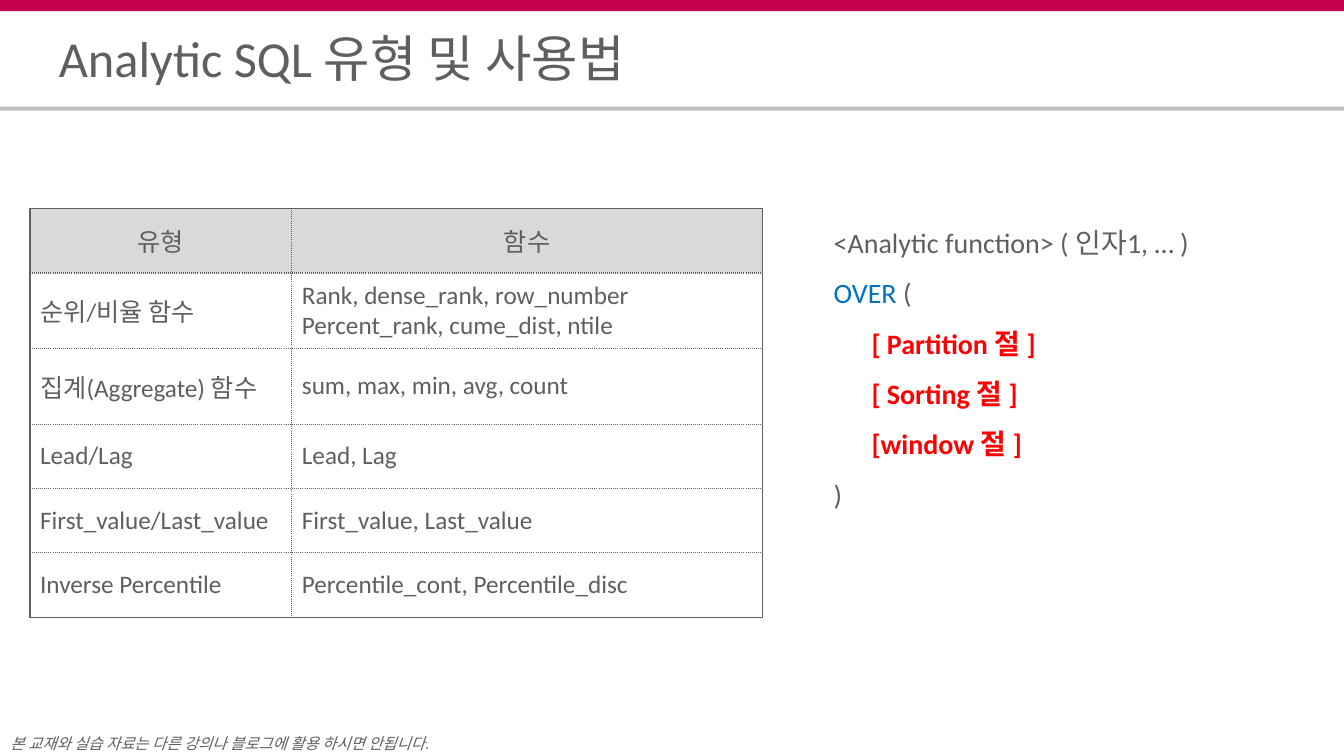
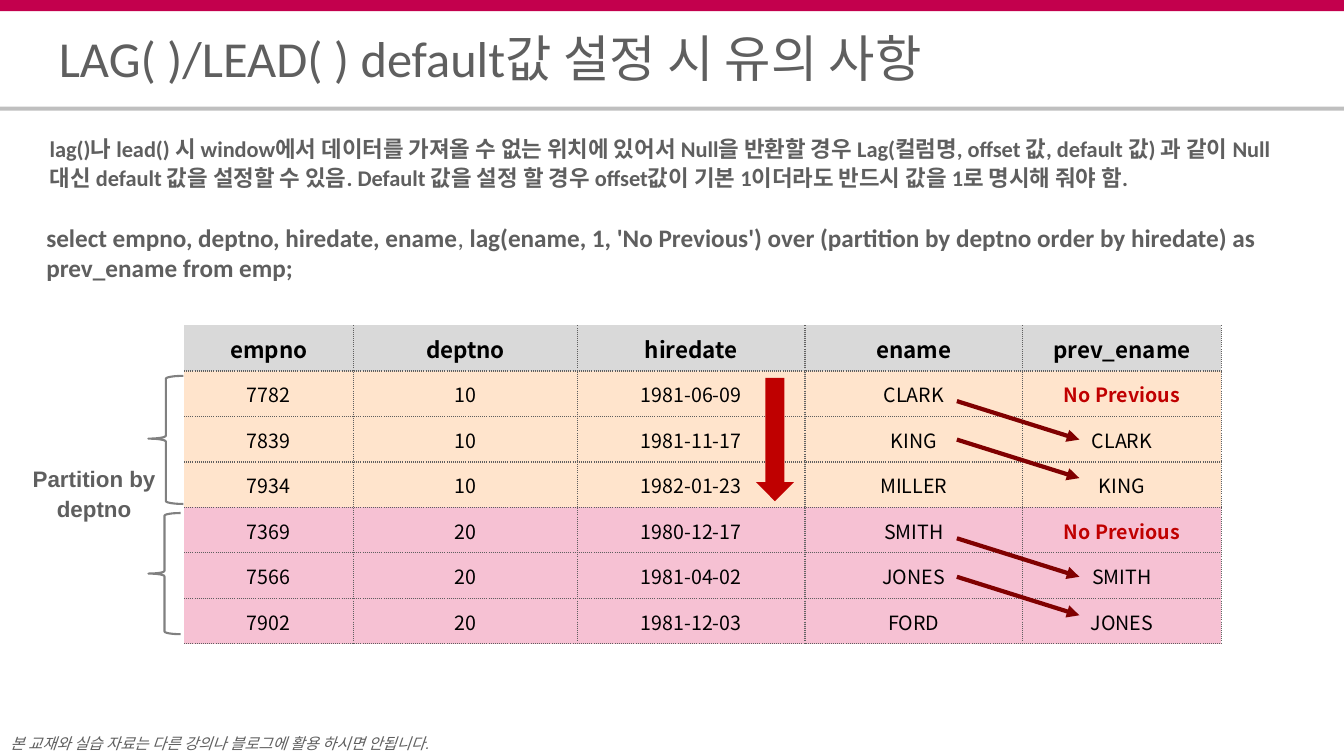
from dataclasses import dataclass, replace
from itertools import accumulate
from typing import NamedTuple

from lxml.etree import SubElement
from pptx import Presentation
from pptx.dml.color import RGBColor
from pptx.enum.shapes import MSO_CONNECTOR, MSO_SHAPE
from pptx.enum.text import MSO_ANCHOR, MSO_AUTO_SIZE, PP_ALIGN
from pptx.oxml.ns import qn
from pptx.shapes.autoshape import Shape
from pptx.slide import Slide
from pptx.table import Table, _Cell
from pptx.text.text import TextFrame
from pptx.util import Pt

CRIMSON = RGBColor(0xC3, 0x00, 0x4D)
RULE_GRAY = RGBColor(0xBF, 0xBF, 0xBF)
TEXT_GRAY = RGBColor(0x5F, 0x5F, 0x5F)
HEADER_GRAY = RGBColor(0xD9, 0xD9, 0xD9)
BRACE_GRAY = RGBColor(0x80, 0x80, 0x80)
PEACH = RGBColor(0xFF, 0xE4, 0xCC)
PINK = RGBColor(0xF6, 0xC1, 0xD3)
BLACK = RGBColor(0x00, 0x00, 0x00)
BLUE = RGBColor(0x00, 0x70, 0xC0)
RED = RGBColor(0xFF, 0x00, 0x00)
DARK_RED = RGBColor(0xC0, 0x00, 0x00)
ARROW_RED = RGBColor(0xBF, 0x00, 0x00)
MAROON = RGBColor(0x80, 0x00, 0x00)

KOREAN_FONT = "Noto Sans CJK KR"
SOLID, DOTTED = "solid", "sysDot"
FOOTER = "본 교재와 실습 자료는 다른 강의나 블로그에 활용 하시면 안됩니다."


@dataclass(frozen=True)
class Style:
    size: float
    font: str = "Calibri"
    color: RGBColor = TEXT_GRAY
    bold: bool = False
    italic: bool = False


class Run(NamedTuple):
    text: str
    style: Style


@dataclass(frozen=True)
class Paragraph:
    runs: tuple[Run, ...]
    align: PP_ALIGN = PP_ALIGN.LEFT
    spacing: float = 1.0
    indent: float = 0


class Box(NamedTuple):
    left: float
    top: float
    width: float
    height: float

    def lengths(self) -> tuple[Pt, ...]:
        return tuple(Pt(value) for value in self)


class Insets(NamedTuple):
    left: float = 0
    top: float = 0
    right: float = 0
    bottom: float = 0


class Borders(NamedTuple):
    """Dash of each side, in the order the cell properties need; None draws no line."""
    left: str | None
    right: str | None
    top: str | None
    bottom: str | None


class Employee(NamedTuple):
    empno: str
    deptno: str
    hiredate: str
    ename: str
    prev_ename: str


TITLE = Style(36)
NOTICE = Style(11, "Arial", italic=True)
CODE = Style(20)
CLAUSE = replace(CODE, color=RED, bold=True)
FUNCTION = Style(18)
QUERY = Style(18, bold=True)
EXPLANATION = Style(16, bold=True)
PARTITION = Style(16, "Arial", bold=True)
COLUMN_NAME = Style(16, KOREAN_FONT, BLACK, bold=True)
VALUE = Style(14, KOREAN_FONT, BLACK)
DEFAULT_VALUE = replace(VALUE, color=DARK_RED, bold=True)

FUNCTION_ROWS = [
    ("유형", "함수"),
    ("순위/비율 함수", "Rank, dense_rank, row_number\nPercent_rank, cume_dist, ntile"),
    ("집계(Aggregate) 함수", "sum, max, min, avg, count"),
    ("Lead/Lag", "Lead, Lag"),
    ("First_value/Last_value", "First_value, Last_value"),
    ("Inverse Percentile", "Percentile_cont, Percentile_disc"),
]
NO_PREVIOUS = "No Previous"
EMPLOYEES = [
    Employee("7782", "10", "1981-06-09", "CLARK", NO_PREVIOUS),
    Employee("7839", "10", "1981-11-17", "KING", "CLARK"),
    Employee("7934", "10", "1982-01-23", "MILLER", "KING"),
    Employee("7369", "20", "1980-12-17", "SMITH", NO_PREVIOUS),
    Employee("7566", "20", "1981-04-02", "JONES", "SMITH"),
    Employee("7902", "20", "1981-12-03", "FORD", "JONES"),
]
DEPT_COLORS = {"10": PEACH, "20": PINK}


def line_of(text: str, style: Style, **layout) -> Paragraph:
    return Paragraph((Run(text, style),), **layout)


def write(frame: TextFrame, paragraphs: list[Paragraph]) -> None:
    for index, content in enumerate(paragraphs):
        paragraph = frame.add_paragraph() if index else frame.paragraphs[0]
        paragraph.alignment = content.align
        paragraph.line_spacing = content.spacing
        if content.indent:
            paragraph._p.get_or_add_pPr().set("marL", str(Pt(content.indent)))
        for text, style in content.runs:
            run = paragraph.add_run()
            run.text = text
            font = run.font
            font.size, font.name = Pt(style.size), style.font
            font.bold, font.italic = style.bold, style.italic
            font.color.rgb = style.color
            SubElement(run._r.get_or_add_rPr(), qn("a:ea"), typeface=KOREAN_FONT)


def set_insets(target: TextFrame | _Cell, insets: Insets) -> None:
    target.margin_left, target.margin_top, target.margin_right, target.margin_bottom = (
        Pt(inset) for inset in insets
    )


def add_text(slide: Slide, box: Box, paragraphs: list[Paragraph],
             insets: Insets = Insets(), wrap: bool = True) -> None:
    frame = slide.shapes.add_textbox(*box.lengths()).text_frame
    frame.word_wrap = wrap
    set_insets(frame, insets)
    write(frame, paragraphs)


def add_filled(slide: Slide, kind: MSO_SHAPE, box: Box, color: RGBColor) -> None:
    shape = slide.shapes.add_shape(kind, *box.lengths())
    shape.shadow.inherit = False
    shape.fill.solid()
    shape.fill.fore_color.rgb = color
    shape.line.fill.background()


def add_brace(slide: Slide, box: Box) -> Shape:
    brace = slide.shapes.add_shape(MSO_SHAPE.LEFT_BRACE, *box.lengths())
    brace.shadow.inherit = False
    brace.fill.background()
    brace.line.color.rgb = BRACE_GRAY
    brace.line.width = Pt(1.5)
    return brace


def add_arrow(slide: Slide, left: float, top: float, right: float, bottom: float) -> None:
    arrow = slide.shapes.add_connector(
        MSO_CONNECTOR.STRAIGHT, Pt(left), Pt(top), Pt(right), Pt(bottom))
    arrow.line.color.rgb = MAROON
    arrow.line.width = Pt(3)
    SubElement(arrow.line._get_or_add_ln(), qn("a:tailEnd"), type="triangle")
    SubElement(arrow._element.spPr, qn("a:effectLst"))


def add_plain_table(slide: Slide, left: float, top: float,
                    widths: list[float], heights: list[float]) -> Table:
    box = Box(left, top, sum(widths), sum(heights))
    table = slide.shapes.add_table(len(heights), len(widths), *box.lengths()).table
    table.first_row = table.horz_banding = False
    for column, width in zip(table.columns, widths):
        column.width = Pt(width)
    for row, height in zip(table.rows, heights):
        row.height = Pt(height)
    return table


def format_cell(cell: _Cell, borders: Borders, fill: RGBColor | None) -> None:
    """Sets borders before the fill, as their order in the cell properties is fixed."""
    cell.vertical_anchor = MSO_ANCHOR.MIDDLE
    properties = cell._tc.get_or_add_tcPr()
    for side, dash in zip("LRTB", borders):
        line = SubElement(properties, qn(f"a:ln{side}"), w=str(Pt(1)))
        if dash is None:
            SubElement(line, qn("a:noFill"))
            continue
        color = SubElement(line, qn("a:solidFill"))
        SubElement(color, qn("a:srgbClr"), val=str(TEXT_GRAY))
        SubElement(line, qn("a:prstDash"), val=dash)
    if fill is None:
        cell.fill.background()
    else:
        cell.fill.solid()
        cell.fill.fore_color.rgb = fill


def add_titled_slide(deck: Presentation, heading: str) -> Slide:
    """Adds a slide with the shared bands, footer and title."""
    slide = deck.slides.add_slide(deck.slide_layouts[5])
    add_filled(slide, MSO_SHAPE.RECTANGLE, Box(0, 0, 960, 8), CRIMSON)
    add_filled(slide, MSO_SHAPE.RECTANGLE, Box(0, 76.2, 960, 2.8), RULE_GRAY)
    add_text(slide, Box(7.5, 517.5, 346, 22), [line_of(FOOTER, NOTICE, spacing=1.5)])
    title = slide.shapes.title
    title.left, title.top, title.width, title.height = Box(42, 24, 876, 42).lengths()
    frame = title.text_frame
    frame.auto_size = MSO_AUTO_SIZE.NONE
    frame.word_wrap = True
    frame.vertical_anchor = MSO_ANCHOR.MIDDLE
    set_insets(frame, Insets())
    write(frame, [line_of(heading, TITLE, spacing=0.8)])
    return slide


def add_function_table(slide: Slide) -> None:
    table = add_plain_table(slide, 21.5, 149, [187, 336], [46, 54, 54, 46, 46, 46])
    last = len(FUNCTION_ROWS) - 1
    for r, row in enumerate(FUNCTION_ROWS):
        align = PP_ALIGN.LEFT if r else PP_ALIGN.CENTER
        for c, text in enumerate(row):
            cell = table.cell(r, c)
            edges = (c == 0, c == 1, r == 0, r == last)
            borders = Borders(*(SOLID if edge else DOTTED for edge in edges))
            format_cell(cell, borders, None if r else HEADER_GRAY)
            write(cell.text_frame,
                  [line_of(part, FUNCTION, align=align) for part in text.split("\n")])


def add_employee_table(slide: Slide) -> None:
    rows = [Employee(*Employee._fields), *EMPLOYEES]
    table = add_plain_table(slide, 131.5, 232.5, [121, 160, 162.5, 155.5, 142],
                            [32.5] * len(rows))
    for r, employee in enumerate(rows):
        fill = DEPT_COLORS.get(employee.deptno, HEADER_GRAY)
        for c, text in enumerate(employee):
            cell = table.cell(r, c)
            borders = Borders(DOTTED if c else None, DOTTED, DOTTED if r else None, DOTTED)
            format_cell(cell, borders, fill)
            set_insets(cell, Insets(0.7, 0.7, 0.7, 0))
            value_style = DEFAULT_VALUE if text == NO_PREVIOUS else VALUE
            write(cell.text_frame, [line_of(text, value_style if r else COLUMN_NAME,
                                            align=PP_ALIGN.CENTER)])


def build_function_slide(deck: Presentation) -> None:
    slide = add_titled_slide(deck, "Analytic SQL 유형 및 사용법")
    clauses = ("[ Partition 절 ]", "[ Sorting 절 ]", "[window 절 ]")
    over = (Run("OVER", replace(CODE, color=BLUE)), Run(" (", CODE))
    add_text(slide, Box(595.5, 149, 350, 212), [
        line_of("<Analytic function> ( 인자1, … )", CODE, spacing=1.5),
        Paragraph(over, spacing=1.5),
        *(line_of(clause, CLAUSE, spacing=1.5, indent=27) for clause in clauses),
        line_of(")", CODE, spacing=1.5),
    ])
    add_function_table(slide)


def build_default_slide(deck: Presentation) -> None:
    slide = add_titled_slide(deck, "LAG( )/LEAD( ) default값 설정 시 유의 사항")
    add_employee_table(slide)
    add_text(slide, Box(21.5, 330.5, 91.5, 72), [
        line_of(text, PARTITION, align=PP_ALIGN.CENTER, spacing=1.1)
        for text in ("Partition by ", "deptno")
    ], wrap=False)
    upper_brace = add_brace(slide, Box(106, 268.5, 25, 91.5))
    upper_brace.adjustments[1] = 0.49
    add_brace(slide, Box(106, 366.5, 23, 86.5))
    for first_top in (286.5, 384.5):
        for top in accumulate([first_top, 27.5]):
            add_arrow(slide, 683.5, top, 771, top + 27.5)
    add_text(slide, Box(26, 155, 908.5, 51), [Paragraph((
        Run("select empno, deptno, hiredate, ename", QUERY),
        Run(", ", FUNCTION),
        Run("lag(ename, 1, 'No Previous') over (partition by deptno order by hiredate) "
            "as prev_ename from emp;", QUERY),
    ))], Insets(7.2, 3.6, 7.2, 3.6))
    add_text(slide, Box(35.5, 94.5, 889, 53), [line_of(
        "lag()나 lead() 시 window에서 데이터를 가져올 수 없는 위치에 있어서 Null을 반환할 경우 "
        "Lag(컬럼명, offset 값, default 값) 과 같이 Null 대신 default 값을 설정할 수 있음. "
        "Default 값을 설정 할 경우 offset값이 기본 1이더라도 반드시 값을 1로 명시해 줘야 함.",
        EXPLANATION, spacing=1.1)])
    add_filled(slide, MSO_SHAPE.DOWN_ARROW, Box(540, 270, 27, 88), ARROW_RED)


def main() -> None:
    deck = Presentation()
    deck.slide_width, deck.slide_height = Pt(960), Pt(540)
    build_function_slide(deck)
    build_default_slide(deck)
    deck.save("out.pptx")


if __name__ == "__main__":
    main()
